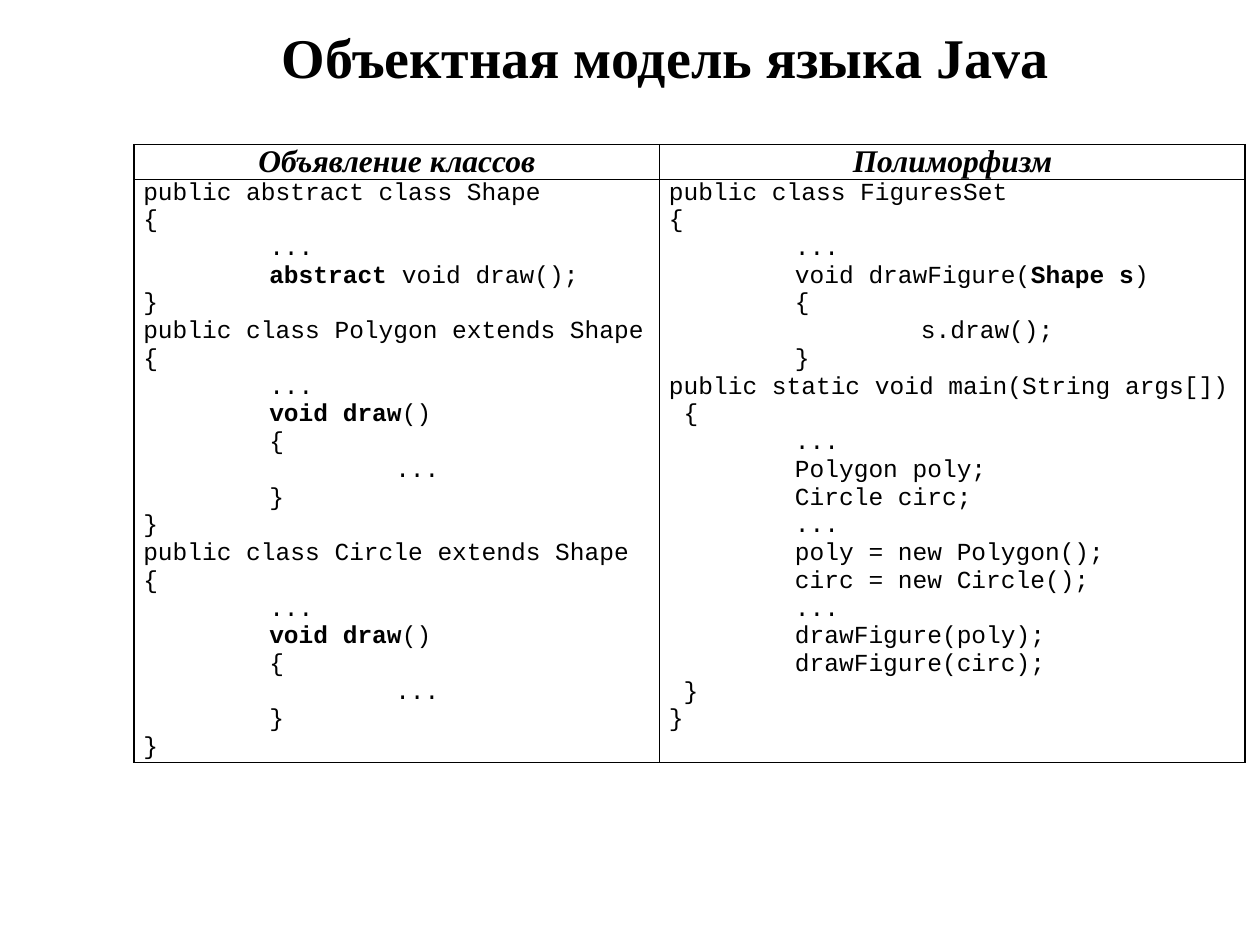
from dataclasses import dataclass

from lxml.etree import fromstring
from pptx import Presentation
from pptx.dml.color import RGBColor
from pptx.enum.text import MSO_ANCHOR, PP_ALIGN
from pptx.util import Pt


@dataclass(frozen=True)
class Theme:
    ink: str = "000000"
    paper: str = "FFFFFF"
    heading_font: str = "Times New Roman"
    code_font: str = "Courier New"
    title_size: float = 32
    heading_size: float = 18
    code_size: float = 14
    code_tab: float = 72
    border: float = 1
    cell_inset: float = 5.3


THEME = Theme()
DRAWING_NS = "http://schemas.openxmlformats.org/drawingml/2006/main"

# Asterisks switch bold on and off within a line of code
CLASSES_CODE = """public abstract class Shape\x20
{
\t...
*\tabstract *void draw();
}
public class Polygon extends Shape {
\t...
*\tvoid draw*()\x20
\t{
\t\t...
\t}
}
public class Circle extends Shape\x20
{
\t...
*\tvoid draw*()\x20
\t{
\t\t...
\t}
}"""

POLYMORPHISM_CODE = """public class FiguresSet\x20
{
\t...
\tvoid drawFigure(*Shape s*)
\t{
\t\ts.draw();
\t}
public static void main(String args[])\x20
 {
\t...
\tPolygon poly;
\tCircle circ;
\t...
\tpoly = new Polygon();
\tcirc = new Circle();
\t...
\tdrawFigure(poly);
\tdrawFigure(circ);
 }
}"""


def write(frame, text, *, size, font, bold=False, italic=False,
          align=PP_ALIGN.LEFT, tab=None):
    """Write one paragraph per line; asterisks toggle bold."""
    for number, line in enumerate(text.split("\n")):
        paragraph = frame.add_paragraph() if number else frame.paragraphs[0]
        paragraph.alignment = align
        if tab:
            stops = "".join(f'<a:tab pos="{Pt(tab * step)}" algn="l"/>' for step in (1, 2))
            properties = paragraph._p.get_or_add_pPr()
            properties.set("defTabSz", str(Pt(tab)))
            properties.append(fromstring(
                f'<a:tabLst xmlns:a="{DRAWING_NS}">{stops}</a:tabLst>'))
        for index, part in enumerate(line.split("*")):
            if part:
                run = paragraph.add_run()
                run.text = part
                run.font.name = font
                run.font.size = Pt(size)
                run.font.bold = bold != (index % 2 == 1)
                run.font.italic = italic
                run.font.color.rgb = RGBColor.from_string(THEME.ink)


def format_cell(cell):
    cell.margin_left = cell.margin_right = Pt(THEME.cell_inset)
    cell.margin_top = cell.margin_bottom = Pt(0)
    cell.fill.background()
    # Borders come before the fill in the cell properties
    properties = cell._tc.get_or_add_tcPr()
    for position, side in enumerate(("lnL", "lnR", "lnT", "lnB")):
        properties.insert(position, fromstring(
            f'<a:{side} xmlns:a="{DRAWING_NS}" w="{Pt(THEME.border)}">'
            f'<a:solidFill><a:srgbClr val="{THEME.ink}"/></a:solidFill></a:{side}>'))


def place_title(slide, box, text):
    title = slide.shapes.title
    title.left, title.top, title.width, title.height = map(Pt, box)
    title.text_frame.word_wrap = True
    title.text_frame.vertical_anchor = MSO_ANCHOR.MIDDLE
    write(title.text_frame, text, size=THEME.title_size, font=THEME.heading_font,
          bold=True, align=PP_ALIGN.CENTER)


def place_comparison(slide, box, widths, heading_height, columns):
    height = box[3]
    comparison = slide.shapes.add_table(2, len(columns), *map(Pt, box)).table
    comparison.first_row = comparison.horz_banding = False
    comparison.rows[0].height = Pt(heading_height)
    comparison.rows[1].height = Pt(height - heading_height)
    for index, (heading, code) in enumerate(columns):
        comparison.columns[index].width = Pt(widths[index])
        heading_cell, code_cell = (comparison.cell(row, index) for row in range(2))
        format_cell(heading_cell)
        format_cell(code_cell)
        write(heading_cell.text_frame, heading, size=THEME.heading_size,
              font=THEME.heading_font, bold=True, italic=True, align=PP_ALIGN.CENTER)
        write(code_cell.text_frame, code, size=THEME.code_size, font=THEME.code_font,
              tab=THEME.code_tab)


def build():
    deck = Presentation()
    deck.slide_width, deck.slide_height = Pt(720), Pt(540)
    slide = deck.slides.add_slide(deck.slide_layouts[5])
    slide.background.fill.solid()
    slide.background.fill.fore_color.rgb = RGBColor.from_string(THEME.paper)

    place_title(slide, (88.2, 15, 584, 34), "Объектная модель языка Java")
    place_comparison(slide, (76.6, 82.7, 635, 353), (300.4, 334.6), 20, (
        ("Объявление классов", CLASSES_CODE),
        ("Полиморфизм", POLYMORPHISM_CODE),
    ))
    deck.save("out.pptx")


build()
